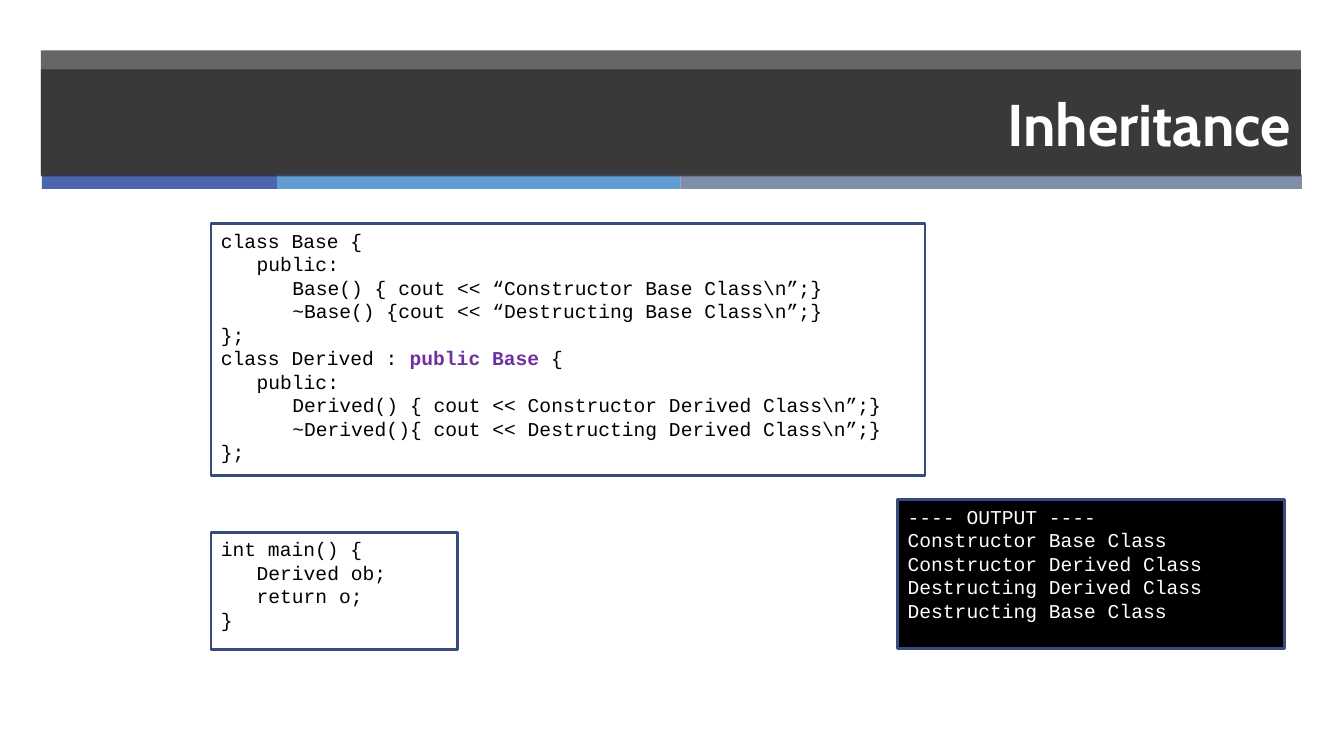
from lxml import etree
from pptx import Presentation
from pptx.dml.color import RGBColor
from pptx.enum import shapes, text
from pptx.oxml.ns import qn
from pptx.util import Emu, Pt

PX = 9525  # 96 px to the inch
INDENT = 34  # three characters of code
COLORS = {
    "band": "262626", "indigo": "4A66AC", "sky": "629DD1", "slate": "7F8FA9",
    "border": "374B7F", "black": "000000", "white": "FFFFFF", "keyword": "7030A0",
}

# Each line of code: indent level, then its text; ** sets off the keyword part
CLASSES = [
    (0, "class Base {"),
    (1, "public:"),
    (2, "Base() { cout << “Constructor Base Class\\n”;}"),
    (2, "~Base() {cout << “Destructing Base Class\\n”;}"),
    (0, "};"),
    (0, "class Derived : **public Base **{"),
    (1, "public:"),
    (2, "Derived() { cout << Constructor Derived Class\\n”;}"),
    (2, "~Derived(){ cout << Destructing Derived Class\\n”;}"),
    (0, "};"),
]
MAIN = [(0, "int main() {"), (1, "Derived ob;"), (1, "return o;"), (0, "}")]
OUTPUT = [
    (0, "---- OUTPUT ----"),
    (0, "Constructor Base Class"),
    (0, "Constructor Derived Class"),
    (0, "Destructing Derived Class"),
    (0, "Destructing Base Class"),
]


def px(*lengths):
    return [Emu(length * PX) for length in lengths]


def rgb(name):
    return RGBColor.from_string(COLORS[name])


def paint(shape, color, alpha=None):
    shape.fill.solid()
    shape.fill.fore_color.rgb = rgb(color)
    if alpha is not None:
        fill_color = shape.fill._xPr.find(qn("a:solidFill"))[0]
        etree.SubElement(fill_color, qn("a:alpha"), val=str(alpha * 1000))


def add_rect(slide, box, fill=None, alpha=None, line=None):
    rect = slide.shapes.add_shape(shapes.MSO_SHAPE.RECTANGLE, *px(*box))
    rect.shadow.inherit = False
    if fill:
        paint(rect, fill, alpha)
    else:
        rect.fill.background()
    if line:
        rect.line.color.rgb = rgb(line)
        rect.line.width = Pt(2)
    else:
        rect.line.fill.background()
    return rect


def write(paragraph, content, size=14, font="Courier New", color="black",
          bold=False, align=text.PP_ALIGN.LEFT, level=0):
    paragraph.alignment = align
    if level:
        properties = paragraph._p.get_or_add_pPr()
        properties.set("marL", str(level * INDENT * PX))
        properties.set("indent", "0")
    for i, part in enumerate(content.split("**")):
        keyword = i % 2 == 1
        run = paragraph.add_run()
        run.text = part
        run.font.size = Pt(size)
        run.font.name = font
        run.font.bold = bold or keyword
        run.font.color.rgb = rgb("keyword" if keyword else color)


def add_code(slide, box, lines, fill=None, color="black"):
    frame = add_rect(slide, box, fill=fill, line="border").text_frame
    frame.word_wrap = True
    frame.vertical_anchor = text.MSO_ANCHOR.TOP
    for i, (level, content) in enumerate(lines):
        paragraph = frame.add_paragraph() if i else frame.paragraphs[0]
        write(paragraph, content, color=color, level=level)


def add_title(slide, box, content):
    title = slide.shapes.title
    title.left, title.top, title.width, title.height = px(*box)
    paint(title, "band", alpha=70)
    frame = title.text_frame
    frame.auto_size = text.MSO_AUTO_SIZE.NONE
    frame.vertical_anchor = text.MSO_ANCHOR.MIDDLE
    write(frame.paragraphs[0], content, size=42, font="Cabin", color="white",
          bold=True, align=text.PP_ALIGN.RIGHT)
    slide.shapes.element.append(title.element)  # bring in front of the band


def main():
    deck = Presentation()
    deck.slide_width, deck.slide_height = px(1280, 720)
    slide = deck.slides.add_slide(deck.slide_layouts[5])

    # Header band with its three-colour stripe
    add_rect(slide, (39, 48, 1200, 119), fill="band", alpha=70)
    left = 40
    for color, width in (("indigo", 224), ("sky", 384), ("slate", 592)):
        add_rect(slide, (left, 166, width, 14), fill=color)
        left += width
    add_title(slide, (39, 66, 1200, 102), "Inheritance")

    # Code and its output
    add_code(slide, (201, 213, 680, 240), CLASSES)
    add_code(slide, (201, 507, 235, 112), MAIN)
    add_code(slide, (855, 476, 368, 142), OUTPUT, fill="black", color="white")

    deck.save("out.pptx")


if __name__ == "__main__":
    main()
